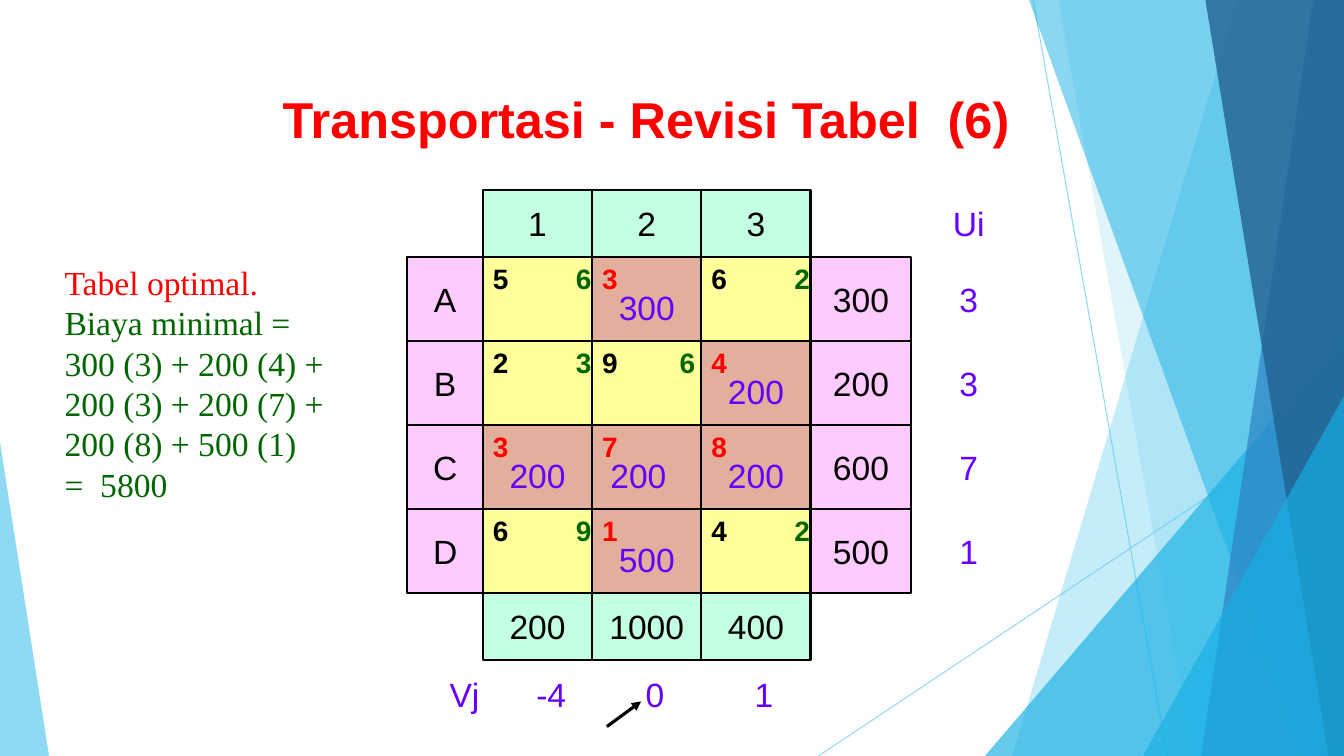
from dataclasses import dataclass
from itertools import accumulate

from lxml.etree import SubElement
from pptx import Presentation
from pptx.dml.color import RGBColor as Rgb
from pptx.enum.shapes import MSO_CONNECTOR as Connector, MSO_SHAPE as Preset
from pptx.enum.text import MSO_ANCHOR as Anchor, MSO_AUTO_SIZE as AutoSize, PP_ALIGN as Align
from pptx.oxml.ns import qn
from pptx.util import Pt

TITLE = "Transportasi - Revisi Tabel  (6)"
SUMMARY = [
    "Tabel optimal.",
    "Biaya minimal =",
    "300 (3) + 200 (4) + 200 (3) + 200 (7) + 200 (8) + 500 (1)",
    "=  5800",
]
DESTINATIONS = ["1", "2", "3"]
DEMANDS = ["200", "1000", "400"]
SOURCES = [
    {"name": "A", "supply": "300", "u": "3", "costs": "536", "allocated": ["", "300", ""], "indices": "6 2"},
    {"name": "B", "supply": "200", "u": "3", "costs": "294", "allocated": ["", "", "200"], "indices": "36 "},
    {"name": "C", "supply": "600", "u": "7", "costs": "378", "allocated": ["200", "200", "200"], "indices": "   "},
    {"name": "D", "supply": "500", "u": "1", "costs": "614", "allocated": ["", "500", ""], "indices": "9 2"},
]
V_VALUES = ["-4", "0", "1"]
NUDGES = {("B", 1): {"index": -4}, ("C", 1): {"allocation": -12}}

DECOR = [
    ("line", (738, 0, 833.8, 540), "5FCBEF", 70),
    ("line", (960, 290, 584.6, 540), "5FCBEF", 70),
    ("band", (884, 723), "5FCBEF", 36),
    ("band", (756, 852), "5FCBEF", 20),
    ("triangle", (703.5, 240, 256.5, 300, 1), "17B0E4", 66),
    ("band", (735, 930), "17B0E4", 50),
    ("band", (938, 858), "2E83C3", 70),
    ("band", (861, 949), "226292", 80),
    ("triangle", (816.5, 283, 143.5, 257, 1), "17B0E4", 66),
    ("triangle", (0, 316, 35, 224, 0), "5FCBEF", 70),
]

SLIDE_WIDTH, SLIDE_HEIGHT = 960, 540
COLUMN_WIDTHS = [54, 78, 78, 78, 72]
ROW_HEIGHTS = [48, 60, 60, 60, 60, 48]
COLUMN_LEFTS = list(accumulate(COLUMN_WIDTHS, initial=291))
ROW_TOPS = list(accumulate(ROW_HEIGHTS, initial=135.5))


@dataclass(frozen=True)
class Theme:
    font: str = "Arial"
    serif_font: str = "Times New Roman"
    title_size: int = 36
    text_size: int = 24
    cost_size: int = 20
    black: str = "000000"
    red: str = "FF0000"
    green: str = "006600"
    violet: str = "6600FF"
    header_fill: str = "C3FFE1"
    side_fill: str = "FFCBFF"
    empty_fill: str = "FFFF9B"
    allocated_fill: str = "E3AF9D"


THEME = Theme()


def color(value):
    return Rgb.from_string(value)


def style(paragraph, ink, size=THEME.text_size, bold=False, align=Align.CENTER, font=THEME.font):
    paragraph.alignment = align
    for run in paragraph.runs:
        run.font.name = font
        run.font.size = Pt(size)
        run.font.bold = bold
        run.font.color.rgb = color(ink)


def add_label(slide, text, left, top, width, height, ink, **text_style):
    shape = slide.shapes.add_textbox(Pt(left), Pt(top), Pt(width), Pt(height))
    frame = shape.text_frame
    frame.word_wrap = True
    frame.vertical_anchor = Anchor.MIDDLE
    frame.text = text
    style(frame.paragraphs[0], ink, **text_style)


def add_cell(slide, column, row, fill, text="", ink=THEME.black, drop=0, shift=0):
    shape = slide.shapes.add_shape(
        Preset.RECTANGLE, Pt(COLUMN_LEFTS[column]), Pt(ROW_TOPS[row]),
        Pt(COLUMN_WIDTHS[column]), Pt(ROW_HEIGHTS[row]))
    shape.shadow.inherit = False
    shape.fill.solid()
    shape.fill.fore_color.rgb = color(fill)
    shape.line.color.rgb = color(THEME.black)
    shape.line.width = Pt(1.5)
    frame = shape.text_frame
    frame.margin_left = frame.margin_bottom = 0
    frame.margin_top, frame.margin_right = Pt(drop), Pt(-shift)
    frame.vertical_anchor = Anchor.MIDDLE
    frame.text = text
    style(frame.paragraphs[0], ink)


def add_line(slide, ends, ink, width):
    connector = slide.shapes.add_connector(Connector.STRAIGHT, *(Pt(value) for value in ends))
    connector.line.color.rgb = color(ink)
    connector.line.width = Pt(width)
    SubElement(connector._element.spPr, qn("a:effectLst"))
    return connector


def add_band(slide, top_x, bottom_x):
    builder = slide.shapes.build_freeform(Pt(top_x), 0)
    corners = [(SLIDE_WIDTH, 0), (SLIDE_WIDTH, SLIDE_HEIGHT), (bottom_x, SLIDE_HEIGHT)]
    builder.add_line_segments([(Pt(x), Pt(y)) for x, y in corners], close=True)
    return builder.convert_to_shape()


def add_triangle(slide, left, top, width, height, apex):
    shape = slide.shapes.add_shape(
        Preset.ISOSCELES_TRIANGLE, Pt(left), Pt(top), Pt(width), Pt(height))
    shape.adjustments[0] = apex
    return shape


def add_decor(slide):
    for kind, geometry, ink, opacity in DECOR:
        if kind == "line":
            shape = add_line(slide, geometry, ink, 0.75)
        else:
            shape = (add_band if kind == "band" else add_triangle)(slide, *geometry)
            shape.shadow.inherit = False
            shape.fill.solid()
            shape.fill.fore_color.rgb = color(ink)
            shape.line.fill.background()
        for paint in shape._element.spPr.iter(qn("a:srgbClr")):
            SubElement(paint, qn("a:alpha"), val=str(opacity * 1000))


def add_title(slide):
    title = slide.shapes.title
    title.left, title.top, title.width, title.height = Pt(152.6), Pt(39.6), Pt(576), Pt(90)
    frame = title.text_frame
    frame.text = TITLE
    frame.word_wrap = True
    frame.auto_size = AutoSize.NONE
    frame.vertical_anchor = Anchor.MIDDLE
    style(frame.paragraphs[0], THEME.red, THEME.title_size, True, Align.RIGHT)


def add_summary(slide):
    frame = slide.shapes.add_textbox(Pt(39), Pt(183.5), Pt(234), Pt(180)).text_frame
    frame.word_wrap = True
    frame.text = "\n".join(SUMMARY)
    for number, paragraph in enumerate(frame.paragraphs):
        style(paragraph, THEME.green if number else THEME.red,
              align=Align.LEFT, font=THEME.serif_font)


def add_grid(slide):
    for column, (destination, demand) in enumerate(zip(DESTINATIONS, DEMANDS), 1):
        add_cell(slide, column, 0, THEME.header_fill, destination)
        add_cell(slide, column, 5, THEME.header_fill, demand)
    for row, source in enumerate(SOURCES, 1):
        top = ROW_TOPS[row]
        add_cell(slide, 0, row, THEME.side_fill, source["name"])
        add_cell(slide, 4, row, THEME.side_fill, source["supply"])
        add_label(slide, source["u"], 678, top + 12, 28, 36, THEME.violet)
        cells = list(zip(source["costs"], source["allocated"], source["indices"]))
        for position, (cost, allocation, index) in enumerate(cells):
            column = position + 1
            nudge = NUDGES.get((source["name"], position), {})
            fill = THEME.allocated_fill if allocation else THEME.empty_fill
            add_cell(slide, column, row, fill, allocation, THEME.violet, 12,
                     nudge.get("allocation", 0))
            add_label(slide, cost, COLUMN_LEFTS[column], top, 26, 31,
                      THEME.red if allocation else THEME.black,
                      size=THEME.cost_size, bold=True, align=Align.LEFT)
        for position, (cost, allocation, index) in enumerate(cells):
            if index.strip():
                nudge = NUDGES.get((source["name"], position), {})
                left = COLUMN_LEFTS[position + 1] + 59 + nudge.get("index", 0)
                add_label(slide, index, left, top, 26, 31, THEME.green,
                          size=THEME.cost_size, bold=True)


def add_multipliers(slide):
    add_label(slide, "Ui", 672, 141.5, 40, 36, THEME.violet)
    lefts = [314] + [left + 31 for left in COLUMN_LEFTS[1:4]]
    for left, text in zip(lefts, ["Vj"] + V_VALUES):
        add_label(slide, text, left, 477.5, 40, 36, THEME.violet, align=Align.LEFT)
    arrow = add_line(slide, (433.5, 519, 458, 501), THEME.black, 2.25)
    SubElement(arrow.line._get_or_add_ln(), qn("a:tailEnd"), type="triangle")


def main():
    presentation = Presentation()
    presentation.slide_width, presentation.slide_height = Pt(SLIDE_WIDTH), Pt(SLIDE_HEIGHT)
    slide = presentation.slides.add_slide(presentation.slide_layouts[5])
    add_decor(slide)
    add_title(slide)
    add_summary(slide)
    add_grid(slide)
    add_multipliers(slide)
    presentation.save("out.pptx")


if __name__ == "__main__":
    main()
